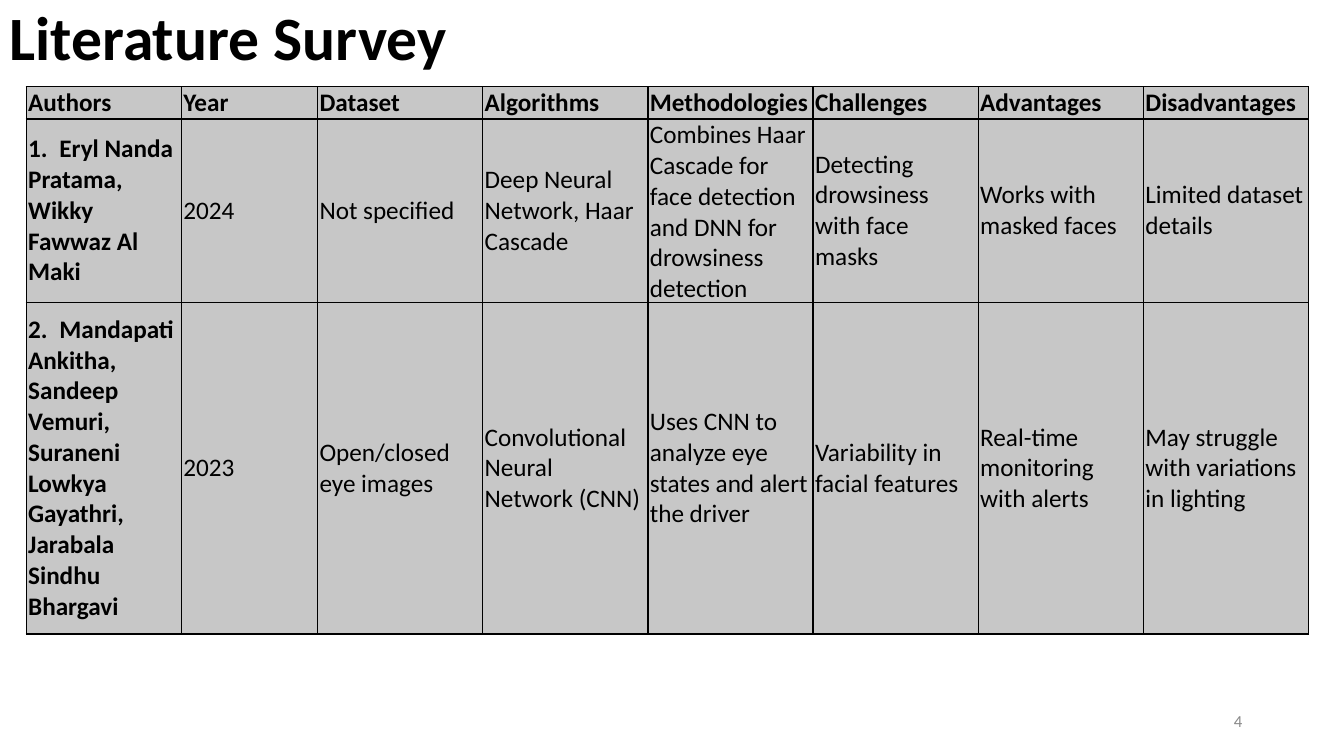
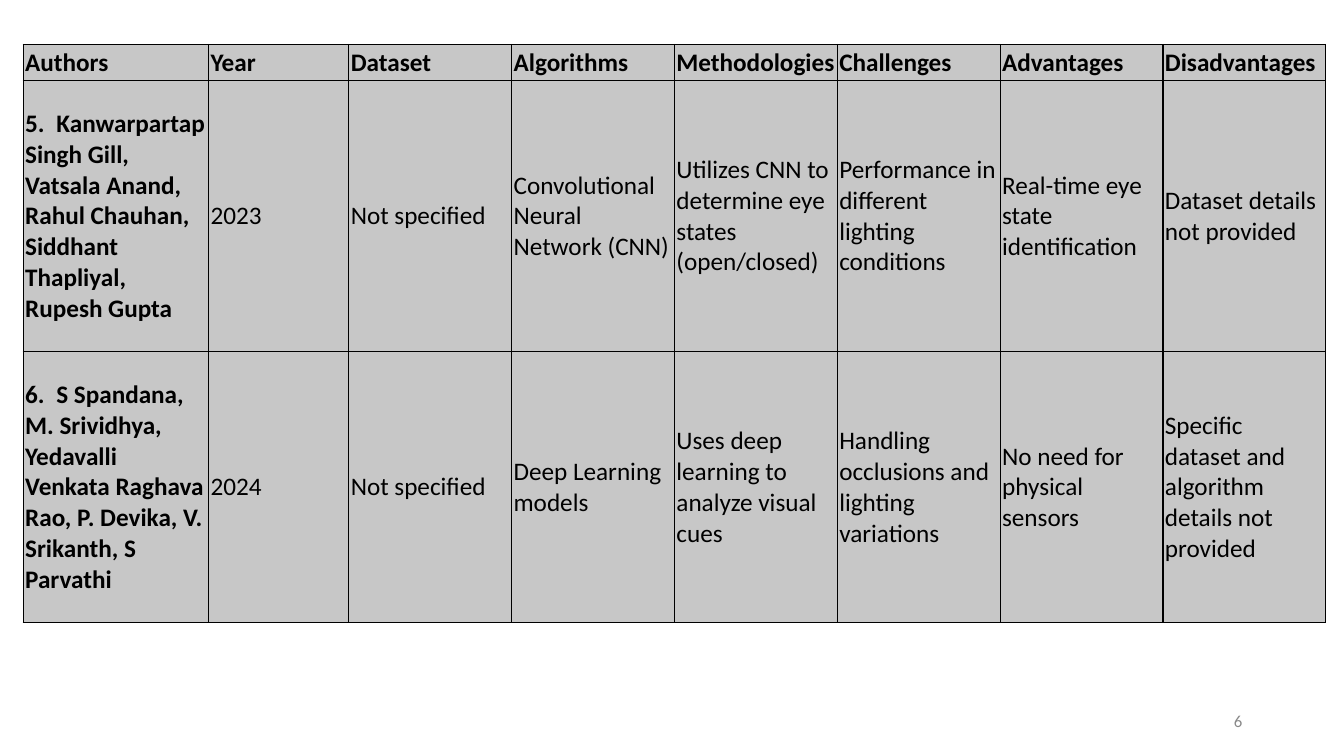
from lxml import etree
from pptx import Presentation
from pptx.dml.color import RGBColor
from pptx.enum.text import MSO_ANCHOR, PP_ALIGN
from pptx.oxml.ns import qn
from pptx.util import Inches, Pt

MIDDLE = MSO_ANCHOR.MIDDLE
LEFT, RIGHT = PP_ALIGN.LEFT, PP_ALIGN.RIGHT

FONT = "Calibri"
COLORS = {"text": "000000", "page": "898989", "cell": "C7C7C7", "border": "000000"}
NUMBER_TAB = 0.31
BORDER_WIDTH = 1

HEADERS = ["Authors", "Year", "Dataset", "Algorithms", "Methodologies",
           "Challenges", "Advantages", "Disadvantages"]

SURVEY_SLIDES = [
    {
        "title": "Literature Survey",
        "page": "4",
        "place": (0.26, 0.86, 12.72),
        "authors_width": 1.54,
        "year_width": 1.35,
        "row_heights": [0.32, 1.81, 3.29],
        "papers": [
            ["1.\tEryl Nanda Pratama, Wikky Fawwaz Al Maki", "2024", "Not specified",
             "Deep Neural Network, Haar Cascade",
             "Combines Haar Cascade for face detection and DNN for drowsiness detection",
             "Detecting drowsiness with face masks", "Works with masked faces",
             "Limited dataset details"],
            ["2.\tMandapati Ankitha, Sandeep Vemuri, Suraneni Lowkya Gayathri, "
             "Jarabala Sindhu Bhargavi", "2023", "Open/closed eye images",
             "Convolutional Neural Network (CNN)",
             "Uses CNN to analyze eye states and alert the driver",
             "Variability in facial features", "Real-time monitoring with alerts",
             "May struggle with variations in lighting"],
        ],
    },
    {
        "title": None,
        "page": "6",
        "place": (0.23, 0.44, 12.92),
        "authors_width": 1.84,
        "year_width": 1.39,
        "row_heights": [0.36, 2.69, 2.69],
        "papers": [
            ["5.\tKanwarpartap Singh Gill, Vatsala Anand, Rahul Chauhan, "
             "Siddhant Thapliyal, Rupesh Gupta", "2023", "Not specified",
             "Convolutional Neural Network (CNN)",
             "Utilizes CNN to determine eye states (open/closed)",
             "Performance in different lighting conditions",
             "Real-time eye state identification", "Dataset details not provided"],
            ["6.\tS Spandana, M. Srividhya, Yedavalli Venkata Raghava Rao, "
             "P. Devika, V. Srikanth, S Parvathi", "2024", "Not specified",
             "Deep Learning models", "Uses deep learning to analyze visual cues",
             "Handling occlusions and lighting variations",
             "No need for physical sensors",
             "Specific dataset and algorithm details not provided"],
        ],
    },
]


def write_text(frame, text, size=18, color="text", bold=False, align=LEFT,
               line_spacing=None):
    frame.word_wrap = True
    paragraph = frame.paragraphs[0]
    paragraph.alignment = align
    if line_spacing:
        paragraph.line_spacing = line_spacing
    run = paragraph.add_run()
    run.text = text
    run.font.name = FONT
    run.font.size = Pt(size)
    run.font.bold = bold
    run.font.color.rgb = RGBColor.from_string(COLORS[color])
    return paragraph


def add_label(slide, place, text, **text_format):
    box = slide.shapes.add_textbox(*map(Inches, place))
    box.text_frame.vertical_anchor = MIDDLE
    write_text(box.text_frame, text, **text_format)


def add_number_tab(paragraph):
    """Set the tab stop between a paper's number and its authors."""
    tabs = etree.SubElement(paragraph._p.get_or_add_pPr(), qn("a:tabLst"))
    etree.SubElement(tabs, qn("a:tab"), pos=str(Inches(NUMBER_TAB)), algn="l")


def add_borders(cell):
    properties = cell._tc.get_or_add_tcPr()
    for side in ("lnL", "lnR", "lnT", "lnB"):
        line = etree.SubElement(properties, qn(f"a:{side}"), w=str(Pt(BORDER_WIDTH)))
        fill = etree.SubElement(line, qn("a:solidFill"))
        etree.SubElement(fill, qn("a:srgbClr"), val=COLORS["border"])


def format_cell(cell):
    cell.vertical_anchor = MIDDLE
    cell.margin_left = cell.margin_right = Inches(0.02)
    cell.margin_top = cell.margin_bottom = Inches(0.01)
    add_borders(cell)
    cell.fill.solid()
    cell.fill.fore_color.rgb = RGBColor.from_string(COLORS["cell"])


def add_survey_table(slide, survey):
    left, top, width = survey["place"]
    heights = survey["row_heights"]
    rows = [HEADERS] + survey["papers"]
    table = slide.shapes.add_table(
        len(rows), len(HEADERS),
        *map(Inches, (left, top, width, sum(heights)))).table

    fixed_widths = [survey["authors_width"], survey["year_width"]]
    equal_count = len(HEADERS) - len(fixed_widths)
    equal_width = (width - sum(fixed_widths)) / equal_count
    for column, column_width in zip(table.columns,
                                    fixed_widths + [equal_width] * equal_count):
        column.width = Inches(column_width)

    for r, (row, height) in enumerate(zip(rows, heights)):
        table.rows[r].height = Inches(height)
        for c, text in enumerate(row):
            cell = table.cell(r, c)
            format_cell(cell)
            paragraph = write_text(cell.text_frame, text, bold=r == 0 or c == 0)
            if r > 0 and c == 0:
                add_number_tab(paragraph)


def main():
    deck = Presentation()
    deck.slide_width, deck.slide_height = Inches(13.33), Inches(7.5)
    blank = deck.slide_layouts[6]
    for survey in SURVEY_SLIDES:
        slide = deck.slides.add_slide(blank)
        add_label(slide, (9.42, 6.95, 3, 0.4), survey["page"],
                  size=12, color="page", align=RIGHT)
        if survey["title"]:
            add_label(slide, (0, 0.14, 11.67, 0.53), survey["title"],
                      size=44, bold=True, line_spacing=0.9)
        add_survey_table(slide, survey)
    deck.save("out.pptx")


if __name__ == "__main__":
    main()
